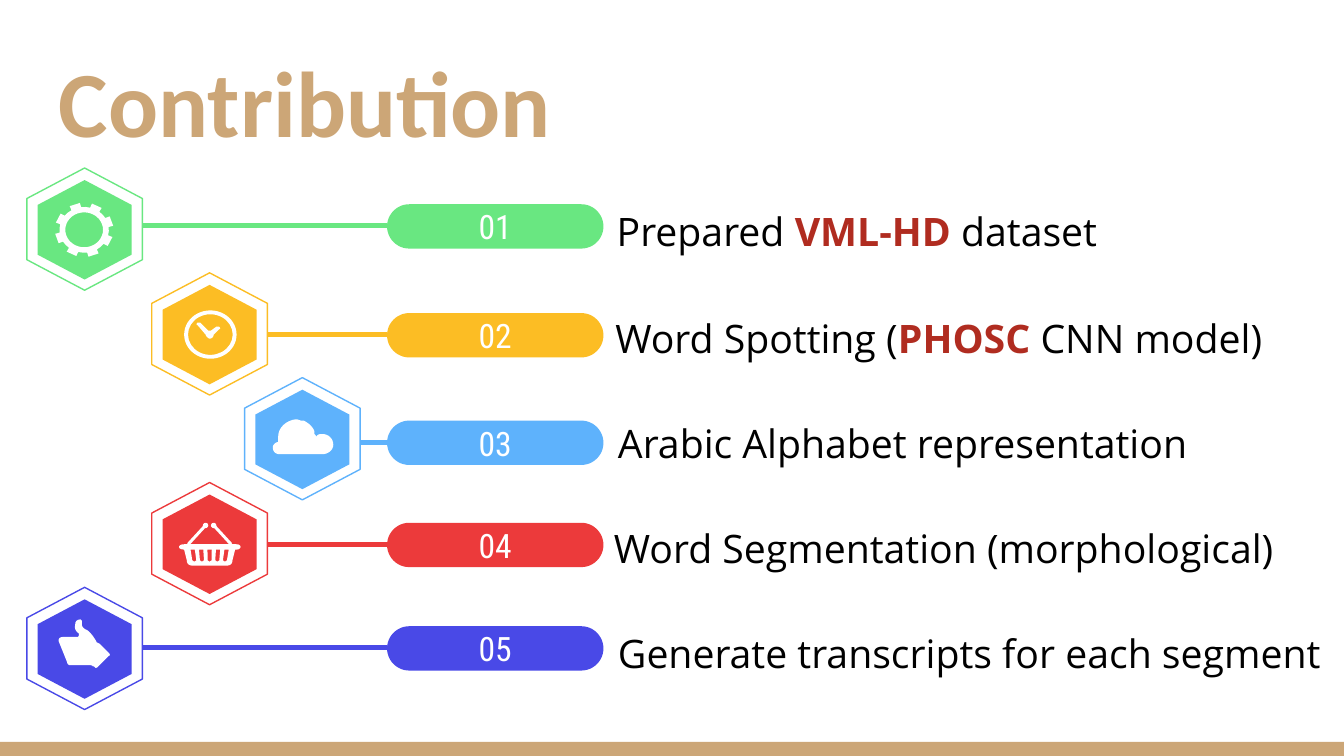
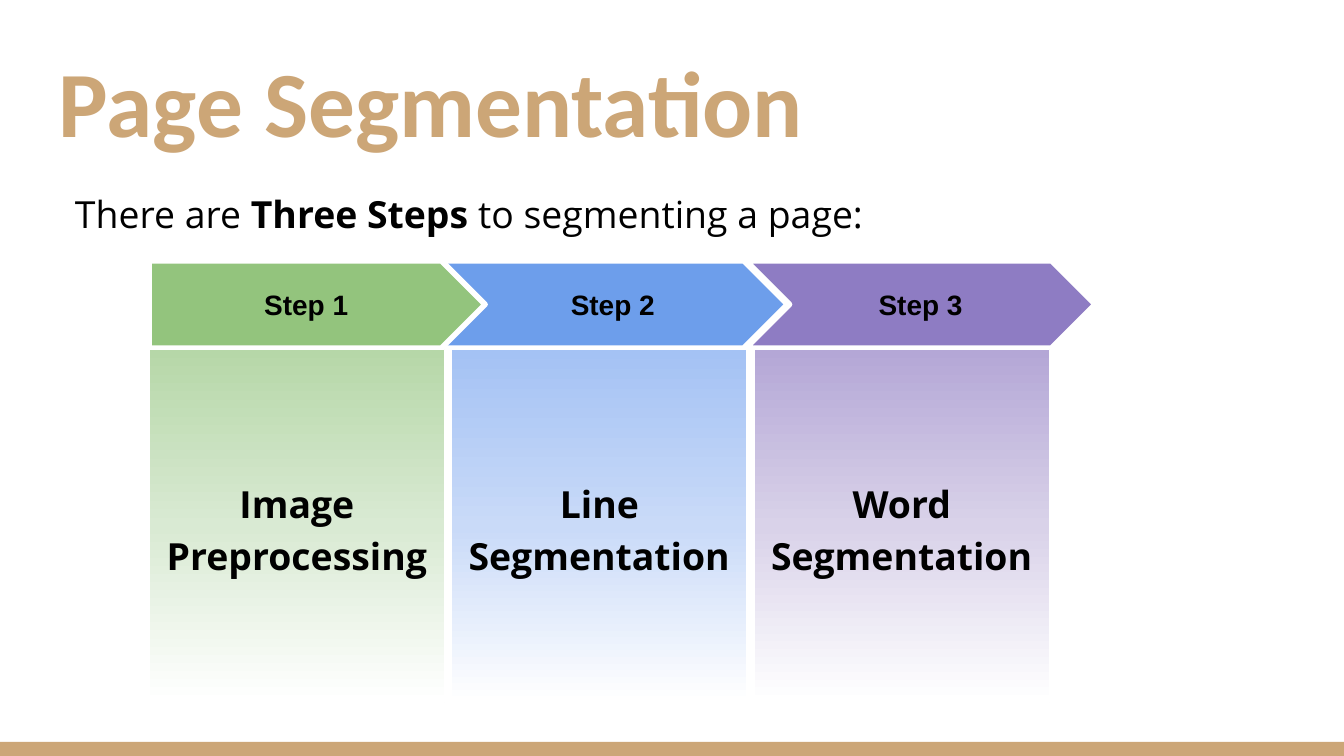
import copy
import math

from lxml import etree
from pptx import Presentation
from pptx import util as u
from pptx.dml.color import RGBColor
from pptx.enum import shapes, text
from pptx.oxml import ns

PX = 9144  # EMU in one px, 100 px to the inch
FINE = 100  # freeform units in one px

TAN = RGBColor(0xCC, 0xA6, 0x77)
WHITE = RGBColor(0xFF, 0xFF, 0xFF)
BLACK = RGBColor(0, 0, 0)
CRIMSON = RGBColor(0xB0, 0x2C, 0x20)
GREEN = RGBColor(0x69, 0xE7, 0x81)
AMBER = RGBColor(0xFC, 0xBD, 0x24)
SKY = RGBColor(0x5E, 0xB2, 0xFC)
RED = RGBColor(0xEC, 0x3A, 0x3B)
INDIGO = RGBColor(0x49, 0x49, 0xE7)
LEAF = RGBColor(0x93, 0xC4, 0x7D)
BLUE = RGBColor(0x6D, 0x9E, 0xEB)
VIOLET = RGBColor(0x8E, 0x7C, 0xC3)
LEAF_FADE = RGBColor(0xB6, 0xD7, 0xA8), RGBColor(0xD9, 0xEA, 0xD3), WHITE
BLUE_FADE = RGBColor(0xA4, 0xC2, 0xF4), RGBColor(0xC9, 0xDA, 0xF8), WHITE
VIOLET_FADE = RGBColor(0xB4, 0xA7, 0xD6), RGBColor(0xD9, 0xD2, 0xE9), WHITE

TITLE = {"name": "Calibri", "size": u.Pt(50), "bold": True, "color": TAN}
NUMBER = {"name": "Roboto Condensed", "size": u.Pt(18), "color": WHITE}
LABEL = {"name": "Open Sans", "size": u.Pt(21), "color": BLACK}
INTRO = LABEL | {"size": u.Pt(20)}
COLUMN = INTRO | {"bold": True}
STEP = {"name": "Arial", "size": u.Pt(15), "bold": True, "color": BLACK}
STRONG = {"bold": True}
KEYWORD = {"bold": True, "color": CRIMSON}

CENTER = text.PP_ALIGN.CENTER
LEFT = text.PP_ALIGN.LEFT
JUSTIFY = text.PP_ALIGN.JUSTIFY
MIDDLE = text.MSO_ANCHOR.MIDDLE
KIND = shapes.MSO_SHAPE

# Outlines inside a hexagon: (x, y) is a corner, six numbers are a curve.
CLOUD = [
    (39, 31), (38, 31), (31, 32, 25, 37, 25, 44), (25, 45, 25, 47, 25, 48),
    (23, 48, 21, 50, 21, 52), (21, 55, 23, 57, 26, 57), (58, 57),
    (62, 57, 66, 54, 66, 50), (66, 45, 62, 42, 58, 42), (57, 42),
    (55, 42, 54, 43, 53, 44), (53, 43, 53, 43, 52, 42),
    (52, 41, 52, 41, 52, 40), (51, 37, 48, 34, 44, 32), (42, 32),
]
THUMB = [
    (40, 24), (39, 24, 38, 24, 37, 25), (36, 26, 36, 27, 36, 28),
    (35, 31, 37, 33, 38, 34), (39, 34, 39, 36, 38, 37), (27, 37),
    (24, 37, 23, 39, 24, 41), (30, 56), (30, 57, 31, 58, 32, 58), (46, 58),
    (47, 58, 49, 58, 49, 59), (50, 59), (51, 60), (52, 60, 52, 60, 53, 59),
    (61, 51), (62, 51, 62, 50, 61, 49), (54, 42), (52, 41),
    (52, 41, 49, 35, 45, 32), (40, 30, 41, 28, 41, 25),
]
CLOCK_HANDS = [
    (35, 37), (34, 37), (33, 38, 33, 39, 34, 39), (40, 46),
    (40, 47, 42, 49, 43, 49), (45, 49, 46, 47, 46, 46), (50, 42),
    (51, 42, 51, 41, 50, 40), (49, 40), (48, 40), (44, 43), (42, 43), (36, 37),
]
BASKET = [
    (63, 46), (24, 46), (19, 46, 19, 50, 24, 50), (26, 58),
    (26, 60, 27, 62, 31, 62), (55, 62), (59, 62, 60, 60, 60, 58), (62, 50),
    (63, 50), (67, 50, 67, 46, 63, 46),
]


def emu(*lengths):
    return [u.Emu(round(length * PX)) for length in lengths]


def paint(shape, fill=None, line=None, width=0.75):
    shape.shadow.inherit = False
    if fill is not None:
        shape.fill.solid()
        shape.fill.fore_color.rgb = fill
    if line is None:
        shape.line.fill.background()
    else:
        shape.line.color.rgb = line
        shape.line.width = u.Pt(width)
    return shape


def preset(parts, kind, box, *look):
    return paint(parts.add_shape(kind, *emu(*box)), *look)


def write(box, spans, style, align=LEFT, anchor=MIDDLE, spacing=None):
    """Fill a box with one paragraph of (wording, style changes) spans."""
    frame = box.text_frame
    inset = emu(10)[0]
    settings = {"word_wrap": True, "vertical_anchor": anchor}
    settings |= {f"margin_{side}": inset for side in ("left", "top", "right", "bottom")}
    for key, value in settings.items():
        setattr(frame, key, value)
    para = frame.paragraphs[0]
    para.alignment = align
    para.line_spacing = spacing
    for wording, changes in spans:
        span = para.add_run()
        span.text = wording
        for key, value in (style | changes).items():
            if key == "color":
                span.font.color.rgb = value
            else:
                setattr(span.font, key, value)
    return para


def connect(parts, ends, color, width):
    rule = parts.add_connector(shapes.MSO_CONNECTOR.STRAIGHT, *emu(*ends))
    rule.line.color.rgb = color
    rule.line.width = u.Pt(width)
    etree.SubElement(rule._element.spPr, ns.qn("a:effectLst"))


def trace(steps, pieces=8):
    """Turn corners and cubic curves into a list of points."""
    points = []
    for step in steps:
        if len(step) == 2:
            points.append(step)
            continue
        knots = [points[-1], step[:2], step[2:4], step[4:]]
        for piece in range(1, pieces + 1):
            t = piece / pieces
            weights = [math.comb(3, k) * t**k * (1 - t)**(3 - k) for k in range(4)]
            points.append(tuple(sum(w * knot[axis] for w, knot in zip(weights, knots))
                                for axis in (0, 1)))
    return points


def outline(parts, origin, contours, *look):
    """Draw closed contours as one shape; inner contours become holes."""
    builder = None
    for contour in contours:
        first, *rest = [(x * FINE, y * FINE) for x, y in contour]
        if builder is None:
            builder = parts.build_freeform(*first, scale=PX / FINE)
        else:
            builder.move_to(*first)
        builder.add_line_segments(rest, close=True)
    return paint(builder.convert_to_shape(*emu(*origin)), *look)


def hexagon(parts, box, *look):
    left, top, width, height = box
    corners = [(width / 2, 0), (0, height / 4), (0, height * 3 / 4),
               (width / 2, height), (width, height * 3 / 4), (width, height / 4)]
    outline(parts, (left, top), [corners], *look)


def draw_gear(parts, left, top):
    def polar(radius, degrees):
        angle = math.radians(degrees)
        return 42.7 + 1.08 * radius * math.cos(angle), 46 + radius * math.sin(angle)

    tooth = [(17, -12), (20.2, -10.5), (20.2, 10.5), (17, 12), (17, 22.5)]
    rim = [polar(radius, 45 * k - 109 + turn) for k in range(8) for radius, turn in tooth]
    hole = [polar(13, degrees) for degrees in range(0, 360, 10)]
    outline(parts, (left, top), [rim, hole], WHITE)


def draw_clock(parts, left, top):
    ring = preset(parts, KIND.DONUT, (left + 24, top + 28, 39, 36), WHITE)
    ring.adjustments[0] = 0.08
    outline(parts, (left, top), [trace(CLOCK_HANDS)], WHITE)


def draw_cloud(parts, left, top):
    outline(parts, (left, top), [trace(CLOUD)], WHITE)


def draw_basket(parts, left, top):
    slots = []
    for k in range(-2, 3):
        high, low = 43 + 6.3 * k, 43 + 5.7 * k
        slots.append([(high - 1.6, 50), (high + 1.6, 50), (low + 1.5, 58),
                      (low, 59), (low - 1.5, 58)])
    outline(parts, (left, top), [trace(BASKET), *slots], WHITE)
    for side in (-1, 1):
        center = left + 43
        connect(parts, (center + 16 * side, top + 46, center + 4 * side, top + 33), WHITE, 1.6)
        preset(parts, KIND.OVAL, (center + 3 * side - 2, top + 30, 4, 4), WHITE)


def draw_thumb(parts, left, top):
    outline(parts, (left, top), [trace(THUMB)], WHITE)


def add_page(deck, title):
    page = deck.slides.add_slide(deck.slide_layouts[6])
    preset(page.shapes, KIND.RECTANGLE, (0, 552, 1000, 11), TAN)
    box = page.shapes.add_textbox(*emu(34, 35, 932, 91))
    write(box, [(title, {})], TITLE, anchor=text.MSO_ANCHOR.BOTTOM)
    return page


def add_item(page, number, origin, color, draw_icon, pill_top, label):
    """One row: icon hexagon, joining line, numbered pill and label."""
    left, top = origin
    parts = page.shapes.add_group_shape().shapes
    middle = pill_top + 16
    connect(parts, (left + 80, middle, 288, middle), color, 2.65)
    hexagon(parts, (left, top, 86, 91), WHITE, color)
    hexagon(parts, (left + 8, top + 9, 70, 74), color)
    draw_icon(parts, left, top)
    pill = preset(parts, KIND.ROUNDED_RECTANGLE, (288, pill_top, 161, 33), color)
    pill.adjustments[0] = 0.5
    write(pill, [(f"{number:02}", {})], NUMBER, CENTER)

    box, spans, align, indent = label
    para = write(parts.add_textbox(*emu(*box)), spans, LABEL, align, spacing=1.15)
    if indent:
        para._p.get_or_add_pPr().set("marL", str(indent * PX))


def build_contribution(deck):
    page = add_page(deck, "Contribution")
    rows = [
        (20, GREEN, draw_gear, 152, ((399, 151, 569, 36), [
            ("Prepared ", {}), ("VML-HD ", KEYWORD), ("dataset", {})], JUSTIFY, 50)),
        (113, AMBER, draw_clock, 233, ((448, 231, 517, 36), [
            ("Word Spotting (", {}), ("PHOSC", KEYWORD), (" CNN model)", {})], JUSTIFY, 0)),
        (182, SKY, draw_cloud, 313, ((450, 309, 550, 36), [
            ("Arabic Alphabet representation", {})], LEFT, 0)),
        (113, RED, draw_basket, 389, ((447, 387, 553, 36), [
            ("Word Segmentation (morphological)", {})], LEFT, 0)),
        (20, INDIGO, draw_thumb, 466, ((450, 465, 550, 36), [
            ("Generate transcripts for each segment", {})], LEFT, 0)),
    ]
    for index, (left, *details) in enumerate(rows):
        add_item(page, index + 1, (left, 125 + 78 * index), *details)


def fade(shape, colors):
    """Give a shape an even top-to-bottom gradient of three colours."""
    shape.fill.gradient()
    shape.fill.gradient_angle = 270
    stops = shape._element.spPr.find(".//" + ns.qn("a:gsLst"))
    stops.insert(1, copy.deepcopy(stops[0]))
    for index, (stop, color) in enumerate(zip(shape.fill.gradient_stops, colors)):
        stop.color.rgb = color
        stop.position = index / 2


def add_step(page, kind, left, width, color, caption):
    arrow = preset(page.shapes, kind, (left, 194, width, 65), color, WHITE, 3)
    arrow.adjustments[0] = 0.5
    write(arrow, [(caption, {})], STEP, CENTER)


def add_column(page, left, colors, caption):
    panel = preset(page.shapes, KIND.RECTANGLE, (left, 260, 220, 263), None, WHITE)
    fade(panel, colors)
    write(panel, [(caption, {})], COLUMN, CENTER, spacing=1.15)


def build_segmentation(deck):
    page = add_page(deck, "Page Segmentation")
    intro = page.shapes.add_textbox(*emu(46, 127, 864, 60))
    write(intro, [("There are ", {}), ("Three Steps", STRONG),
                  (" to segmenting a page:", {})],
          INTRO, anchor=text.MSO_ANCHOR.TOP, spacing=1.15)
    add_step(page, KIND.CHEVRON, 326, 260, BLUE, "Step 2")
    add_step(page, KIND.CHEVRON, 555, 260, VIOLET, "Step 3")
    add_step(page, KIND.PENTAGON, 111, 250, LEAF, "Step 1")
    columns = [(LEAF_FADE, "Image Preprocessing"), (BLUE_FADE, "Line Segmentation"),
               (VIOLET_FADE, "Word Segmentation")]
    for index, column in enumerate(columns):
        add_column(page, 111 + 225 * index, *column)


def main():
    deck = Presentation()
    deck.slide_width = emu(1000)[0]
    deck.slide_height = u.Emu(deck.slide_width * 9 // 16)
    build_contribution(deck)
    build_segmentation(deck)
    deck.save("out.pptx")


if __name__ == "__main__":
    main()
